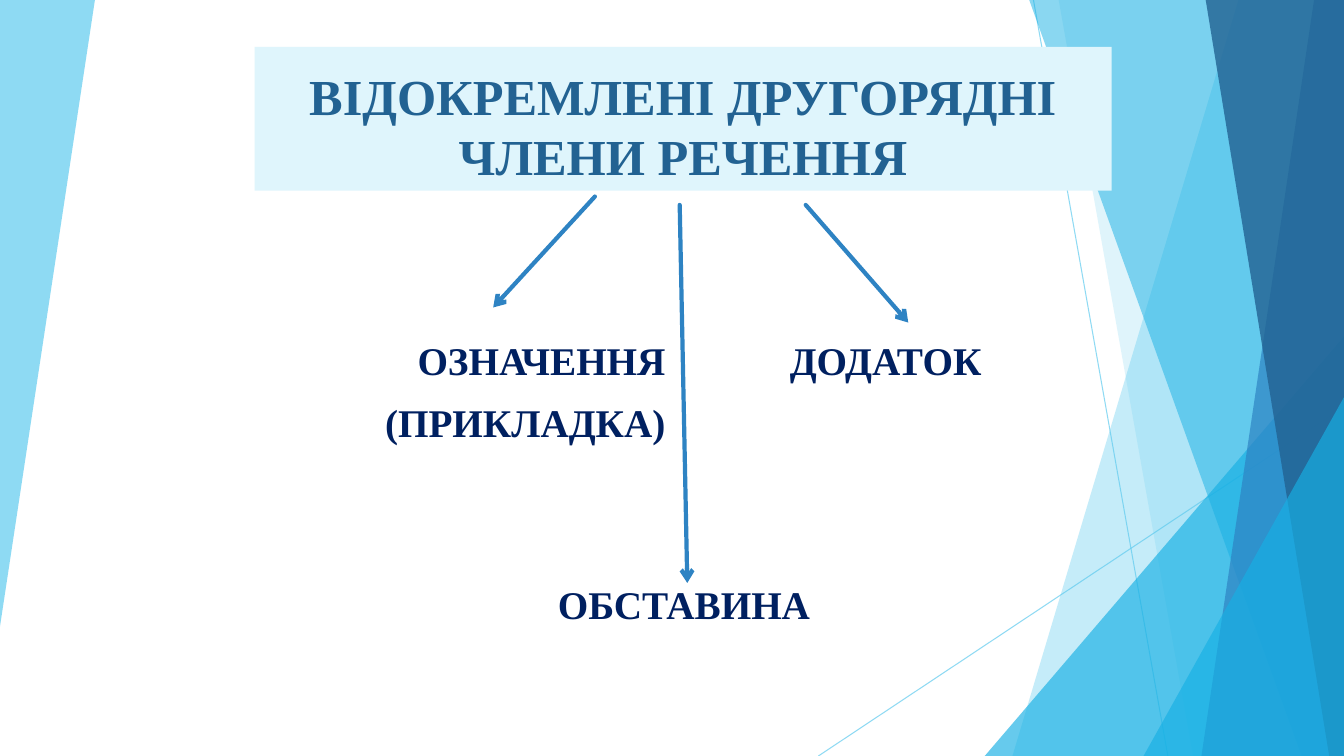
"""Build a slide that splits secondary sentence parts into three branches."""
from pptx import Presentation
from pptx.dml.color import RGBColor as RGB
from pptx.enum.shapes import MSO_CONNECTOR as Link, MSO_SHAPE as Form
from pptx.enum.text import MSO_ANCHOR as Anchor, PP_ALIGN as Align
from pptx.oxml.ns import qn
from pptx.util import Inches, Pt
from lxml.etree import SubElement as Sub

HUES = {"sky": "5FCBEF", "cyan": "17B0E4", "blue": "2E83C3",
        "deep": "226292", "pale": "DFF5FC", "navy": "002060"}
FONT = "Times New Roman"
COLS, ROWS = 160, 90

deck = Presentation()
deck.slide_width, deck.slide_height = Inches(13.33), Inches(7.5)
cell = deck.slide_height / ROWS
slide = deck.slides.add_slide(deck.slide_layouts[6])
shapes = slide.shapes


def grid(*marks):
    return [round(mark * cell) for mark in marks]


def tint(shape, fill, hue, alpha=100):
    fill.solid()
    fill.fore_color.rgb = RGB.from_string(HUES[hue])
    if alpha < 100:
        for node in shape.element.iter(qn("a:srgbClr")):
            Sub(node, qn("a:alpha"), val=str(alpha * 1000))


facets = [
    ([(0, 0), (11.3, 0), (0, 74.6)], "sky", 70),
    ([(147.4, 0), (COLS, 0), (COLS, ROWS), (120.5, ROWS)], "sky", 36),
    ([(126, 0), (COLS, 0), (COLS, ROWS), (142, ROWS)], "sky", 20),
    ([(117.2, 40)], "cyan", 66),
    ([(122.5, 0), (COLS, 0), (COLS, ROWS), (154.9, ROWS)], "cyan", 50),
    ([(156.4, 0), (COLS, 0), (COLS, ROWS), (143, ROWS)], "blue", 70),
    ([(143.5, 0), (COLS, 0), (COLS, ROWS), (158.2, ROWS)], "deep", 80),
    ([(136.1, 47.2)], "cyan", 66),
]
for spots, hue, alpha in facets:
    left, top = spots[0]
    if len(spots) == 1:
        facet = shapes.add_shape(Form.ISOSCELES_TRIANGLE,
                                 *grid(left, top, COLS - left, ROWS - top))
        facet.adjustments[0] = 1
    else:
        pen = shapes.build_freeform(*grid(left, top))
        pen.add_line_segments([grid(*spot) for spot in spots[1:]])
        facet = pen.convert_to_shape()
    facet.shadow.inherit = False
    facet.line.fill.background()
    tint(facet, facet.fill, hue, alpha)

title = shapes.add_shape(Form.RECTANGLE, *grid(30.3, 5.6, 102, 17.1))
title.shadow.inherit = False
title.line.fill.background()
tint(title, title.fill, "pale")
labels = [
    (title, "ВІДОКРЕМЛЕНІ ДРУГОРЯДНІ ЧЛЕНИ РЕЧЕННЯ", Align.CENTER, 36, "deep"),
]
for left, top, width, text, side in [
    (39, 40, 40.2, "ОЗНАЧЕННЯ\n(ПРИКЛАДКА)", Align.RIGHT),
    (94, 40, 26, "ДОДАТОК", Align.LEFT),
    (61.4, 69.1, 40, "ОБСТАВИНА", Align.CENTER),
]:
    box = shapes.add_textbox(*grid(left, top, width, 6 * len(text.split("\n"))))
    frame = box.text_frame
    frame.margin_left = frame.margin_right = 0
    frame.margin_top = frame.margin_bottom = 0
    labels.append((box, text, side, 28, "navy"))

for box, text, side, size, hue in labels:
    frame = box.text_frame
    frame.word_wrap = True
    frame.vertical_anchor = Anchor.BOTTOM if box is title else Anchor.TOP
    frame.text = text
    for rank, para in enumerate(frame.paragraphs):
        para.alignment = side
        para.space_before = Pt(11 if rank else 0)
        font = para.runs[0].font
        font.name, font.size, font.bold = FONT, Pt(size), True
        font.color.rgb = RGB.from_string(HUES[hue])

for ends, hue, width, alpha in [
    ((123, 0, 139, ROWS), "sky", 0.75, 70),
    ((COLS, 48.4, 97.4, ROWS), "sky", 0.75, 70),
    ((70.8, 23.4, 58.7, 36.6), "blue", 3, 100),
    ((80.9, 24.4, 81.8, 69.4), "blue", 3, 100),
    ((95.9, 24.4, 108.1, 38.4), "blue", 3, 100),
]:
    line = shapes.add_connector(Link.STRAIGHT, *grid(*ends))
    line.line.width = Pt(width)
    tint(line, line.line.fill, hue, alpha)
    props = line.element.spPr
    Sub(props, qn("a:effectLst"))
    if hue == "blue":
        stroke = props.find(qn("a:ln"))
        stroke.set("cap", "rnd")
        Sub(stroke, qn("a:tailEnd"), type="arrow")
    else:
        shapes[0].element.addnext(line.element)

deck.save("out.pptx")
